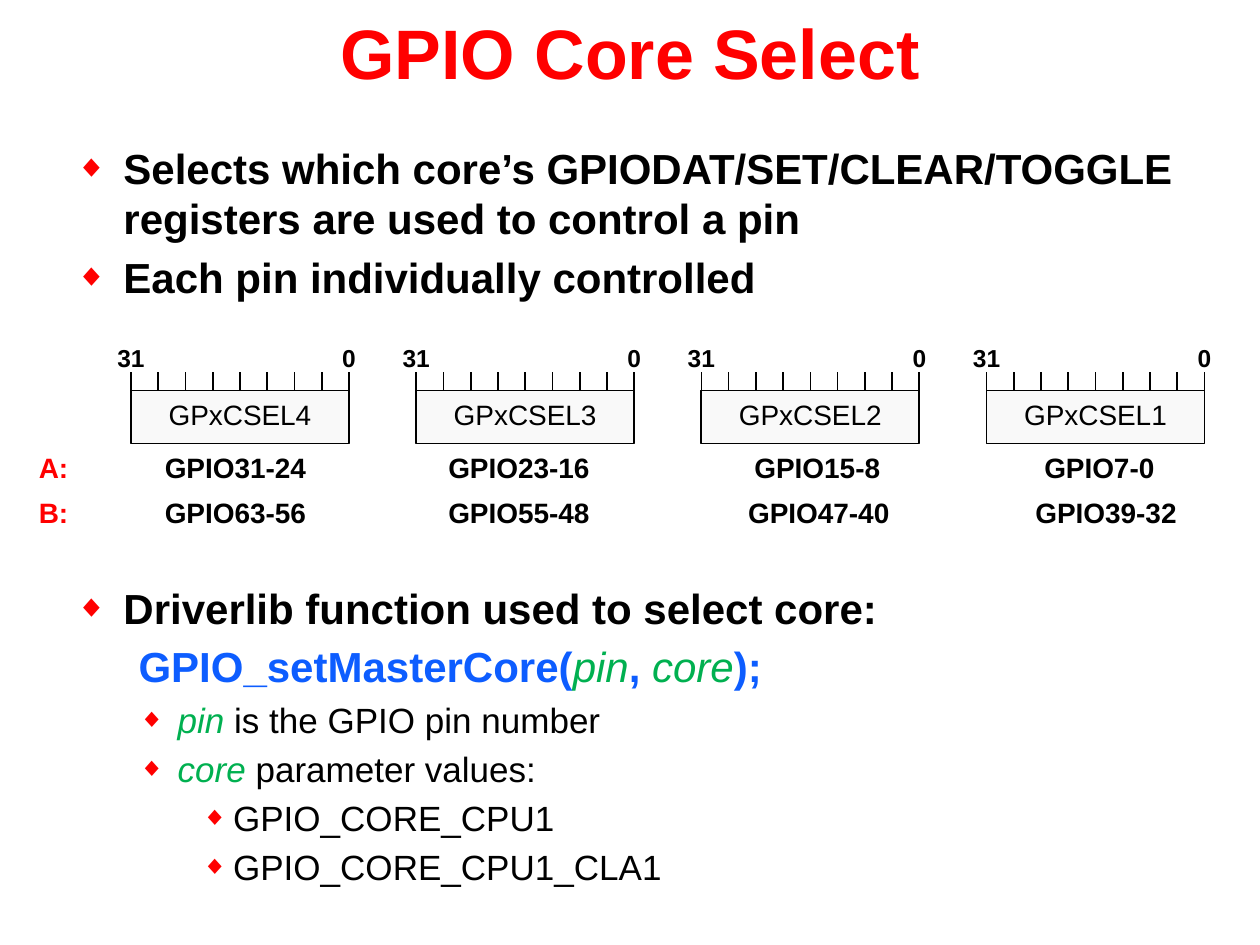
from pptx import Presentation
from pptx import util as u
from pptx.dml import color
from pptx.enum import shapes, text
from pptx.oxml import ns
from lxml import etree

theme = {
    "font": "Arial",
    "red": "FF0000", "ink": "000000", "blue": "0D5DFF", "green": "00B050", "pale": "F9F9F9",
    "title": 40, "head": 24, "sub": 20, "label": 16, "bit": 14,
}

title = "GPIO Core Select"
styles = {
    "head": ("head", "ink", True, False),
    "call": ("head", "blue", True, False),
    "arg": ("head", "green", False, True),
    "term": ("sub", "green", False, True),
    "sub": ("sub", "ink", False, False),
    "title": ("title", "red", True, False),
    "name": ("label", "ink", False, False),
    "port": ("label", "red", True, False),
    "pins": ("label", "ink", True, False),
    "bit": ("bit", "ink", True, False),
}
levels = [(0.38, -0.38), (0.81, -0.31), (1.25, -0.25)]
intro = [
    (0, [("Selects which core’s GPIODAT/SET/CLEAR/TOGGLE registers are used to control a pin", "head")]),
    (0, [("Each pin individually controlled", "head")]),
]
usage = [
    (0, [("Driverlib function used to select core:", "head")]),
    (None, [("\tGPIO_setMasterCore(", "call"), ("pin", "arg"), (", ", "call"),
            ("core", "arg"), (");", "call")]),
    (1, [("pin ", "term"), ("is the GPIO pin number", "sub")]),
    (1, [("core ", "term"), ("parameter values:", "sub")]),
    (2, [("GPIO_CORE_CPU1", "sub")]),
    (2, [("GPIO_CORE_CPU1_CLA1", "sub")]),
]
names = ["GPxCSEL4", "GPxCSEL3", "GPxCSEL2", "GPxCSEL1"]
ports = [
    ("A:", ["GPIO31-24", "GPIO23-16", "GPIO15-8", "GPIO7-0"], [1, 3.25, 5.68, 7.98]),
    ("B:", ["GPIO63-56", "GPIO55-48", "GPIO47-40", "GPIO39-32"], [1, 3.25, 5.63, 7.91]),
]

first, last, wide = 1.04, 7.83, 1.73
top, tall, tick, fields = 3.1, 0.42, 0.15, 8
step = (last - first) / (len(names) - 1)


def inch(*sizes):
    return [u.Inches(size) for size in sizes]


def rgb(key):
    return color.RGBColor.from_string(theme[key])


def style(run, key):
    size, ink, bold, slant = styles[key]
    font = run.font
    font.name, font.size = theme["font"], u.Pt(theme[size])
    font.color.rgb, font.bold, font.italic = rgb(ink), bold, slant


def write(para, parts):
    for words, key in parts:
        run = para.add_run()
        run.text = words
        style(run, key)


def child(node, tag, **attrs):
    return etree.SubElement(node, ns.qn("a:" + tag), attrs)


def bullet(para, level):
    props = para._p.get_or_add_pPr()
    left, hang = (0, 0) if level is None else levels[level]
    props.set("marL", str(u.Inches(left)))
    props.set("indent", str(u.Inches(hang)))
    if level is None:
        child(props, "buNone")
        return
    para.level = level
    child(child(props, "buClr"), "srgbClr", val=theme["red"])
    child(props, "buSzPct", val="75000")
    child(props, "buChar", char="◆")


def place(shape, *box):
    shape.left, shape.top, shape.width, shape.height = inch(*box)
    shape.text_frame.auto_size = text.MSO_AUTO_SIZE.NONE
    return shape.text_frame


def fill(shape, items, *box):
    frame = place(shape, *box)
    for i, (level, parts) in enumerate(items):
        para = frame.add_paragraph() if i else frame.paragraphs[0]
        bullet(para, level)
        write(para, parts)


def center(frame, words, key):
    para = frame.paragraphs[0]
    para.text = words
    para.alignment = text.PP_ALIGN.CENTER
    para.line_spacing = 0.8
    style(para.runs[0], key)


def mark(group, x):
    line = group.shapes.add_connector(
        shapes.MSO_CONNECTOR.STRAIGHT, *inch(x, top, x, top - tick))
    line.line.color.rgb, line.line.width = rgb("ink"), u.Pt(1)
    child(line._element.spPr, "effectLst")


def bit(group, words, x):
    box = group.shapes.add_textbox(*inch(x - 0.21, 2.72, 0.42, 0.29))
    box.text_frame.word_wrap = False
    center(box.text_frame, words, "bit")


def register(group, name, x):
    box = group.shapes.add_shape(shapes.MSO_SHAPE.RECTANGLE, *inch(x, top, wide, tall))
    box.shadow.inherit = False
    box.fill.solid()
    box.fill.fore_color.rgb = rgb("pale")
    box.line.color.rgb, box.line.width = rgb("ink"), u.Pt(1)
    frame = box.text_frame
    frame.margin_top = frame.margin_bottom = u.Inches(0.1)
    center(frame, name, "name")
    for i in range(fields + 1):
        mark(group, x + i * wide / fields)
    bit(group, "31", x)
    bit(group, "0", x + wide)


def legend(group):
    box = group.shapes.add_textbox(*inch(0.21, 3.53, 9.46, 0.72))
    frame = box.text_frame
    frame.word_wrap = True
    for i, (port, pins, stops) in enumerate(ports):
        para = frame.add_paragraph() if i else frame.paragraphs[0]
        para.space_before = u.Pt(6)
        tabs = child(para._p.get_or_add_pPr(), "tabLst")
        for stop in stops:
            child(tabs, "tab", pos=str(u.Inches(stop)), algn="l")
        write(para, [(port + "\t", "port"), ("\t".join(pins), "pins")])


deck = Presentation()
deck.slide_width, deck.slide_height = inch(10, 7.5)
slide = deck.slides.add_slide(deck.slide_layouts[3])
head, upper, lower = slide.placeholders

frame = place(head, 0, 0, 10, 0.81)
frame.text = title
style(frame.paragraphs[0].runs[0], "title")
fill(upper, intro, 0.5, 1.08, 9, 1.59)
fill(lower, usage, 0.5, 4.57, 9, 2.77)

group = slide.shapes.add_group_shape()
legend(group)
for i, name in enumerate(names):
    register(group, name, first + i * step)

deck.save("out.pptx")
